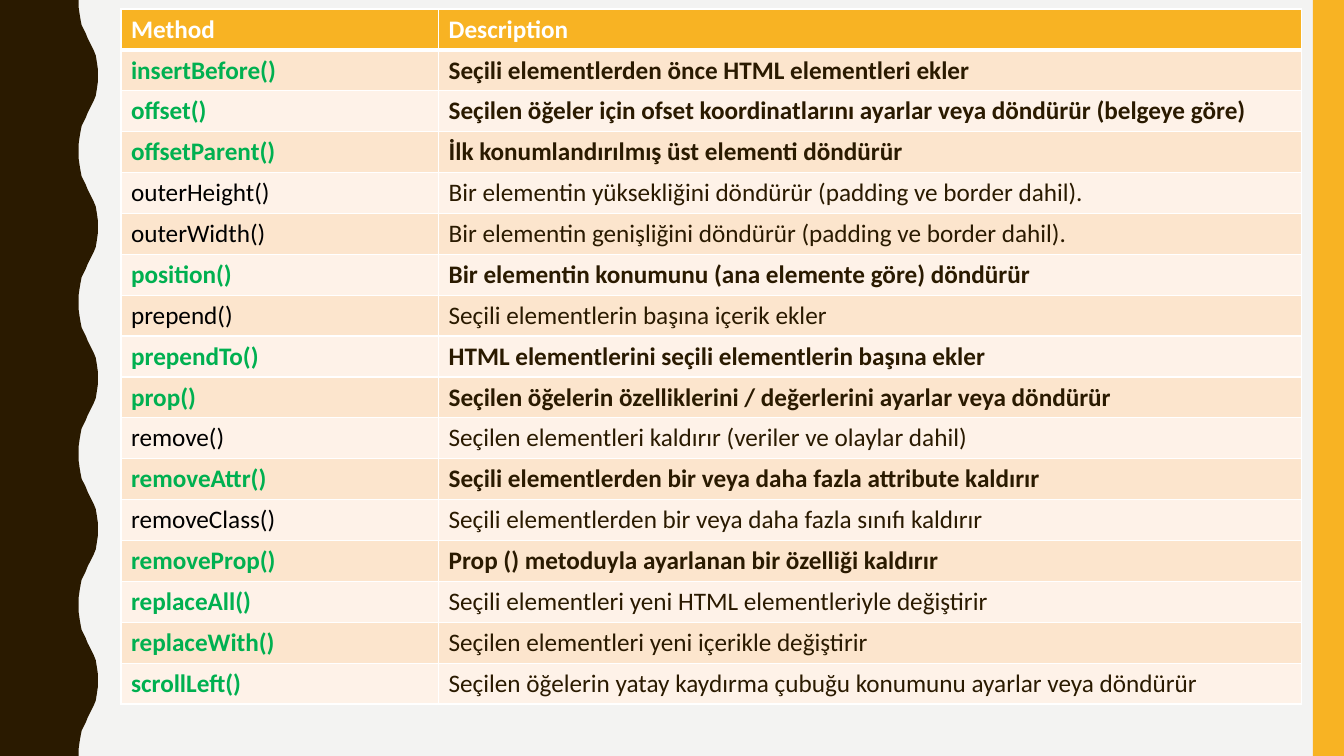
from typing import NamedTuple

from lxml import etree
from pptx import Presentation, util as u
from pptx.dml.color import RGBColor
from pptx.enum import shapes, text
from pptx.oxml import ns

BROWN = RGBColor(0x2A, 0x1A, 0x00)
AMBER = RGBColor(0xF8, 0xB3, 0x23)
GREEN = RGBColor(0x00, 0xB0, 0x50)
BLACK = RGBColor(0x00, 0x00, 0x00)
WHITE = RGBColor(0xFF, 0xFF, 0xFF)
PAGE = RGBColor(0xF3, 0xF3, 0xF2)
BANDS = (RGBColor(0xFC, 0xE5, 0xCD), RGBColor(0xFE, 0xF2, 0xE8))

WIDTH, HEIGHT = u.Inches(13.33), u.Inches(7.5)
GRID = u.Inches(0.01)  # one grid unit
ROW_HEIGHT = u.Pt(29.2)
COLUMN_UNITS = (315, 856)
TABLE_LEFT, TABLE_TOP = 120 * GRID, 9 * GRID
STRIPE_UNITS = 31

WAVE_COUNT, WAVE_LENGTH = 5, 150
# Rising half of one wave, as (x, y) in grid units.
RISE = ((78, 0), (78, 7), (79, 14), (80, 20), (81, 25), (83, 29), (85, 33),
        (87, 38), (89, 42), (91, 46), (93, 50), (95, 55), (96, 61), (97, 68))
CREST = (97, 75)


class Method(NamedTuple):
    """One method of the table and how strongly it is marked."""
    name: str
    description: str
    green: bool = True
    bold: bool = True


METHODS = (
    Method("insertBefore()", "Seçili elementlerden önce HTML elementleri ekler"),
    Method("offset()", "Seçilen öğeler için ofset koordinatlarını ayarlar veya "
                       "döndürür (belgeye göre)"),
    Method("offsetParent()", "İlk konumlandırılmış üst elementi döndürür"),
    Method("outerHeight()", "Bir elementin yüksekliğini döndürür "
                            "(padding ve border dahil).", green=False, bold=False),
    Method("outerWidth()", "Bir elementin genişliğini döndürür "
                           "(padding ve border dahil).", green=False, bold=False),
    Method("position()", "Bir elementin konumunu (ana elemente göre) döndürür"),
    Method("prepend()", "Seçili elementlerin başına içerik ekler",
           green=False, bold=False),
    Method("prependTo()", "HTML elementlerini seçili elementlerin başına ekler"),
    Method("prop()", "Seçilen öğelerin özelliklerini / değerlerini ayarlar "
                     "veya döndürür"),
    Method("remove()", "Seçilen elementleri kaldırır (veriler ve olaylar dahil)",
           green=False, bold=False),
    Method("removeAttr()", "Seçili elementlerden bir veya daha fazla attribute "
                           "kaldırır"),
    Method("removeClass()", "Seçili elementlerden bir veya daha fazla sınıfı "
                            "kaldırır", green=False, bold=False),
    Method("removeProp()", "Prop () metoduyla ayarlanan bir özelliği kaldırır"),
    Method("replaceAll()", "Seçili elementleri yeni HTML elementleriyle değiştirir",
           bold=False),
    Method("replaceWith()", "Seçilen elementleri yeni içerikle değiştirir",
           bold=False),
    Method("scrollLeft()", "Seçilen öğelerin yatay kaydırma çubuğu konumunu "
                           "ayarlar veya döndürür", bold=False),
)


def write(frame, content: str, *, color: RGBColor, bold: bool,
          size: int = 18, font: str = "Calibri") -> None:
    """Write one formatted run into a text frame."""
    run = frame.paragraphs[0].add_run()
    run.text = content
    run.font.name, run.font.size = font, u.Pt(size)
    run.font.bold, run.font.color.rgb = bold, color


def paint(shape, color: RGBColor) -> None:
    """Give a shape a plain fill without line or shadow."""
    shape.fill.solid()
    shape.fill.fore_color.rgb = color
    shape.line.fill.background()
    shape.shadow.inherit = False


def set_borders(cell, **points: int) -> None:
    """Draw white borders; keys are lnL, lnR, lnT and lnB, in that order."""
    properties = cell._tc.get_or_add_tcPr()
    for index, (side, width) in enumerate(points.items()):
        line = etree.Element(ns.qn(f"a:{side}"), w=str(u.Pt(width)))
        fill = etree.SubElement(line, ns.qn("a:solidFill"))
        etree.SubElement(fill, ns.qn("a:srgbClr"), val=str(WHITE))
        properties.insert(index, line)


def draw_wave(slide) -> None:
    """Draw the brown left edge with its repeated wave."""
    fall = [(x, WAVE_LENGTH - y) for x, y in reversed(RISE)]
    wave = [*RISE, CREST, *fall]
    edge = [(x, y + number * WAVE_LENGTH)
            for number in range(WAVE_COUNT) for x, y in wave]
    builder = slide.shapes.build_freeform(0, 0, scale=GRID)
    builder.add_line_segments([*edge, (0, WAVE_COUNT * WAVE_LENGTH)], close=True)
    paint(builder.convert_to_shape(), BROWN)


def draw_stripe(slide) -> None:
    """Draw the amber stripe along the right edge."""
    width = STRIPE_UNITS * GRID
    stripe = slide.shapes.add_shape(shapes.MSO_SHAPE.RECTANGLE,
                                    WIDTH - width, 0, width, HEIGHT)
    paint(stripe, AMBER)


def fill_cell(cell, content: str, row: int, *, fill: RGBColor,
              color: RGBColor, bold: bool) -> None:
    """Set fill, borders and text of one table cell."""
    cell.fill.solid()
    cell.fill.fore_color.rgb = fill
    cell.vertical_anchor = text.MSO_ANCHOR.MIDDLE
    set_borders(cell, lnL=1, lnR=1, lnT=3 if row == 1 else 1,
                lnB=3 if row == 0 else 1)
    write(cell.text_frame, content, color=color, bold=bold)


def draw_table(slide) -> None:
    """Draw the header and one banded row for each method."""
    row_count = len(METHODS) + 1
    table = slide.shapes.add_table(
        row_count, len(COLUMN_UNITS), TABLE_LEFT, TABLE_TOP,
        sum(COLUMN_UNITS) * GRID, row_count * ROW_HEIGHT).table
    for column, units in zip(table.columns, COLUMN_UNITS):
        column.width = units * GRID
    for row in table.rows:
        row.height = ROW_HEIGHT
    for column, title in enumerate(("Method", "Description")):
        fill_cell(table.cell(0, column), title, 0,
                  fill=AMBER, color=WHITE, bold=True)
    for row, method in enumerate(METHODS, start=1):
        band = BANDS[(row - 1) % 2]
        fill_cell(table.cell(row, 0), method.name, row, fill=band,
                  color=GREEN if method.green else BLACK, bold=method.green)
        fill_cell(table.cell(row, 1), method.description, row, fill=band,
                  color=BROWN, bold=method.bold)


def main() -> None:
    """Build the slide and save it."""
    presentation = Presentation()
    presentation.slide_width, presentation.slide_height = WIDTH, HEIGHT
    slide = presentation.slides.add_slide(presentation.slide_layouts[6])
    slide.background.fill.solid()
    slide.background.fill.fore_color.rgb = PAGE
    draw_wave(slide)
    draw_stripe(slide)
    draw_table(slide)
    presentation.save("out.pptx")


main()
